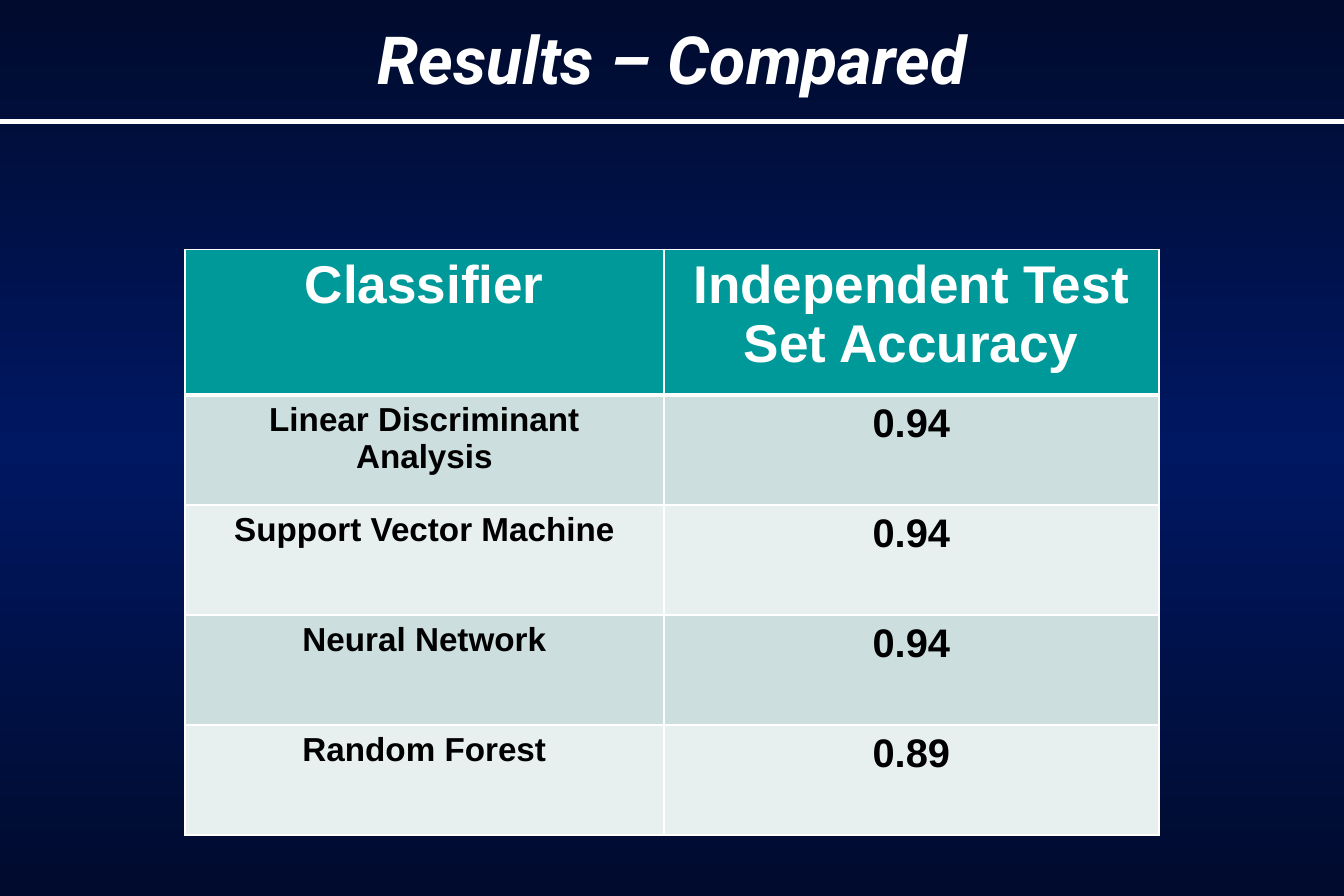
import copy
from dataclasses import dataclass

import pptx
import pptx.dml.color
import pptx.enum.shapes
import pptx.enum.text
import pptx.oxml
import pptx.oxml.ns
import pptx.util
from pptx.util import Pt


@dataclass(frozen=True)
class Theme:
    edge: str = "000B2D"
    glow: str = "001762"
    white: str = "FFFFFF"
    black: str = "000000"
    header: str = "009999"
    bands: tuple = ("CCDEDE", "E7EFEF")
    title_font: str = "Roboto"
    table_font: str = "Arial"
    title_size: int = 40
    header_size: int = 32
    name_size: int = 20
    score_size: int = 24


theme = Theme()
qn = pptx.oxml.ns.qn


def set_text(frame, text, font_name, size, color, italic=False):
    frame.text = text
    paragraph = frame.paragraphs[0]
    paragraph.alignment = pptx.enum.text.PP_ALIGN.CENTER
    font = paragraph.runs[0].font
    font.name, font.size = font_name, Pt(size)
    font.bold, font.italic = True, italic
    font.color.rgb = pptx.dml.color.RGBColor.from_string(color)


def set_borders(cell, widths):
    """Draw white cell borders; widths maps the sides L, R, T, B to points."""
    properties = cell._tc.get_or_add_tcPr()
    for position, side in enumerate("LRTB"):
        border = pptx.oxml.parse_xml(
            f'<a:ln{side} {pptx.oxml.ns.nsdecls("a")} w="{Pt(widths[side])}">'
            f'<a:solidFill><a:srgbClr val="{theme.white}"/></a:solidFill></a:ln{side}>'
        )
        properties.insert(position, border)


deck = pptx.Presentation()
deck.slide_width, deck.slide_height = Pt(810), Pt(540)
slide = deck.slides.add_slide(deck.slide_layouts[5])

# Background: dark at both ends, brighter in the middle
background = slide.background.fill
background.gradient()
background.gradient_angle = 270
stop_list = slide.element.find(".//" + qn("a:gsLst"))
stop_list.append(copy.deepcopy(stop_list[0]))
stop_colors = (theme.edge, theme.glow, theme.edge)
for stop, position, color in zip(background.gradient_stops, (0, 0.5, 1), stop_colors):
    stop.position = position
    stop.color.rgb = pptx.dml.color.RGBColor.from_string(color)

# Title and rule
title = slide.shapes.title
title.left, title.top, title.width, title.height = Pt(0), Pt(7.2), Pt(810), Pt(55.4)
set_text(title.text_frame, "Results – Compared", theme.title_font,
         theme.title_size, theme.white, italic=True)
title.text_frame.auto_size = pptx.enum.text.MSO_AUTO_SIZE.SHAPE_TO_FIT_TEXT

rule = slide.shapes.add_connector(
    pptx.enum.shapes.MSO_CONNECTOR.STRAIGHT, Pt(0), Pt(73.4), Pt(810), Pt(73.4))
rule.line.color.rgb = pptx.dml.color.RGBColor.from_string(theme.white)
rule.line.width = Pt(3)
rule.element.spPr.append(pptx.oxml.parse_xml(
    f'<a:effectLst {pptx.oxml.ns.nsdecls("a")}/>'))

# Accuracy table
results = [
    ("Classifier", "Independent Test Set Accuracy"),
    ("Linear Discriminant Analysis", "0.94"),
    ("Support Vector Machine", "0.94"),
    ("Neural Network", "0.94"),
    ("Random Forest", "0.89"),
]
column_widths = (288.6, 298.4)
header_height, row_height = 88, 66.3
table_height = header_height + row_height * (len(results) - 1)
accuracy = slide.shapes.add_table(
    len(results), len(column_widths),
    Pt(111.5), Pt(150.2), Pt(sum(column_widths)), Pt(table_height)).table
for column, width in zip(accuracy.columns, column_widths):
    column.width = Pt(width)

for row, entries in enumerate(results):
    is_header = row == 0
    accuracy.rows[row].height = Pt(header_height if is_header else row_height)
    band = theme.header if is_header else theme.bands[(row - 1) % 2]
    sizes = (theme.header_size,) * 2 if is_header else (theme.name_size, theme.score_size)
    text_color = theme.white if is_header else theme.black
    borders = {"L": 1, "R": 1, "T": 3 if row == 1 else 1, "B": 3 if is_header else 1}
    for column, (entry, size) in enumerate(zip(entries, sizes)):
        cell = accuracy.cell(row, column)
        set_text(cell.text_frame, entry, theme.table_font, size, text_color)
        cell.fill.solid()
        cell.fill.fore_color.rgb = pptx.dml.color.RGBColor.from_string(band)
        set_borders(cell, borders)

deck.save("out.pptx")
